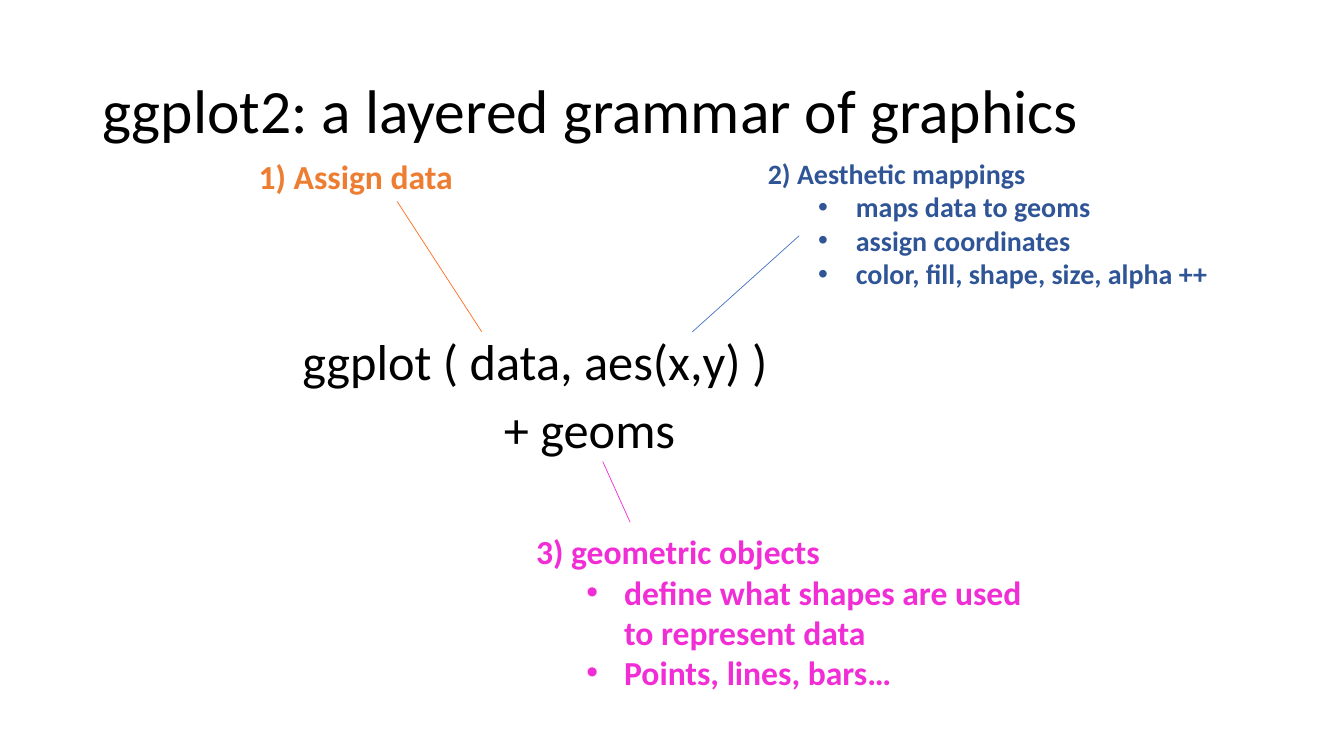
from lxml import etree
from pptx import Presentation
from pptx.dml.color import RGBColor
from pptx.enum.shapes import MSO_CONNECTOR
from pptx.enum.text import MSO_ANCHOR
from pptx.oxml.ns import qn
from pptx.util import Cm, Pt

STRAIGHT = MSO_CONNECTOR.STRAIGHT
TOP, MIDDLE = MSO_ANCHOR.TOP, MSO_ANCHOR.MIDDLE
FONT = "Calibri"
COLORS = {
    "text": "000000",
    "data": "ED7D31",
    "data_line": "FF6F1F",
    "mapping": "2F5597",
    "mapping_line": "4472C4",
    "geoms": "F12DD5",
}


def add_text(frame, text, *, size, color, bold=False, first=False,
             line_spacing=1.0, before=0, margin=0, bullet=False):
    paragraph = frame.paragraphs[0] if first else frame.add_paragraph()
    paragraph.line_spacing = line_spacing
    paragraph.space_before = Pt(before)
    run = paragraph.add_run()
    run.text = text
    run.font.name = FONT
    run.font.size = Pt(size)
    run.font.bold = bold
    run.font.color.rgb = RGBColor.from_string(COLORS[color])
    properties = paragraph._p.get_or_add_pPr()
    properties.set("marL", str(Cm(margin)))
    if bullet:
        paragraph.level = 1
        properties.set("indent", str(Cm(-0.95)))
        bullet_font = etree.SubElement(properties, qn("a:buFont"))
        bullet_font.set("typeface", "Arial")
        etree.SubElement(properties, qn("a:buChar")).set("char", "•")


def add_frame(slide, box, anchor=TOP, wrap=True):
    frame = slide.shapes.add_textbox(*map(Cm, box)).text_frame
    frame.word_wrap = wrap
    frame.vertical_anchor = anchor
    return frame


def add_title(slide, box):
    frame = add_frame(slide, box, anchor=MIDDLE)
    add_text(frame, "ggplot2: a layered grammar of graphics", size=44,
             color="text", first=True, line_spacing=0.9)


def add_formula(slide, box):
    frame = add_frame(slide, box)
    style = {"size": 36, "color": "text", "line_spacing": 0.9, "before": 10}
    add_text(frame, "ggplot ( data, aes(x,y) )", first=True, **style)
    add_text(frame, "+ geoms", margin=5.08, **style)


def add_callout(slide, box, heading, points, size, color, wrap=True):
    frame = add_frame(slide, box, wrap=wrap)
    style = {"size": size, "color": color, "bold": True}
    add_text(frame, heading, first=True, **style)
    for point in points:
        add_text(frame, point, margin=2.22, bullet=True, **style)


def add_pointer(slide, start, end, color):
    pointer = slide.shapes.add_connector(STRAIGHT, *map(Cm, start + end))
    pointer.line.color.rgb = RGBColor.from_string(COLORS[color])
    pointer.line.width = Pt(0.5)
    etree.SubElement(pointer._element.spPr, qn("a:effectLst"))


def build_grammar_slide(slide):
    add_title(slide, (2.33, 1.02, 29.21, 3.68))
    add_formula(slide, (7.37, 8.36, 25.4, 4))
    add_callout(slide, (19.1, 3.81, 14.5, 3.68), "2) Aesthetic mappings",
                ["maps data to geoms", "assign coordinates",
                 "color, fill, shape, size, alpha ++"], 20, "mapping")
    add_callout(slide, (6.27, 3.81, 5.46, 1.27), "1) Assign data", [],
                24, "data", wrap=False)
    add_callout(slide, (13.26, 13.26, 13.23, 4.37), "3) geometric objects",
                ["define what shapes are used to represent data",
                 "Points, lines, bars…"], 24, "geoms")
    add_pointer(slide, (20.14, 5.94), (17.45, 8.36), "mapping_line")
    add_pointer(slide, (12.14, 8.36), (10.01, 5.08), "data_line")
    add_pointer(slide, (15.19, 11.63), (15.88, 13.16), "geoms")


def main():
    presentation = Presentation()
    presentation.slide_width = Cm(33.87)
    presentation.slide_height = Cm(19.05)
    blank = presentation.slide_layouts[6]
    build_grammar_slide(presentation.slides.add_slide(blank))
    presentation.save("out.pptx")


if __name__ == "__main__":
    main()
